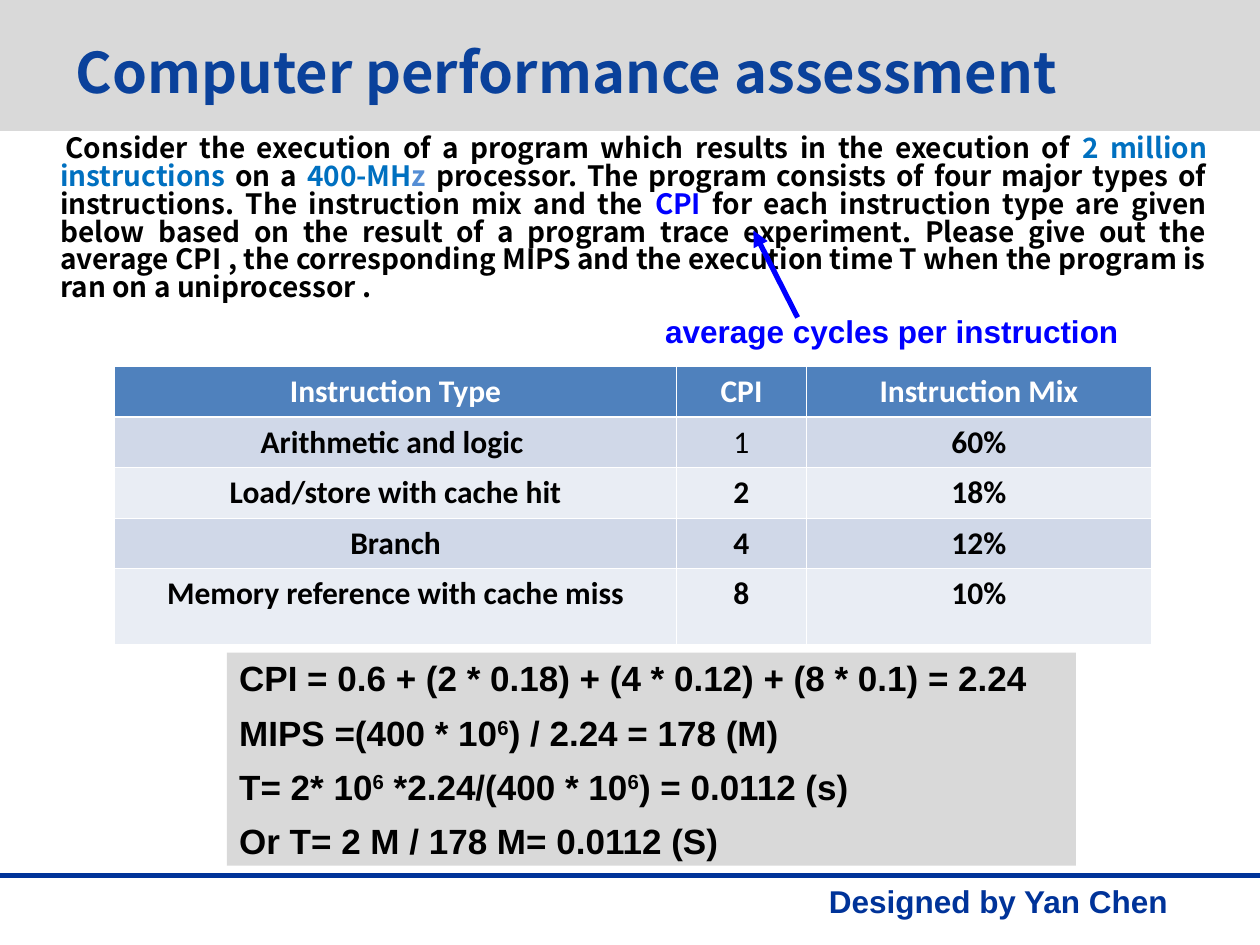
from lxml import etree
from pptx import Presentation, util as u
from pptx.dml import color as dml
from pptx.enum import shapes, text
from pptx.oxml import ns

INK, NAVY, BLUE, SKY, GREY, WHITE = "000000", "003399", "0000FF", "0070C0", "D9D9D9", "FFFFFF"
NOTO = "Noto Sans CJK SC"
ALIGN = text.PP_ALIGN


def rgb(code):
    return dml.RGBColor.from_string(code)


def place(item, box):
    item.left, item.top, item.width, item.height = [u.Inches(n) for n in box]


def style(run, size, face, tint, bold=True):
    font = run.font
    font.size, font.name, font.bold = u.Pt(size), face, bold
    font.color.rgb = rgb(tint)
    east = etree.SubElement(run._r.get_or_add_rPr(), ns.qn("a:ea"))
    east.set("typeface", face)


def write(par, words, size, face, tint, bold=True):
    run = par.add_run()
    run.text = words
    style(run, size, face, tint, bold)
    return run


def panel(slide, box):
    rect = slide.shapes.add_shape(shapes.MSO_SHAPE.RECTANGLE, *[u.Inches(n) for n in box])
    rect.shadow.inherit = False
    rect.fill.solid()
    rect.fill.fore_color.rgb = rgb(GREY)
    rect.line.fill.background()
    return rect


def label(owner, box, words, tint, wrap):
    note = owner.shapes.add_textbox(*[u.Inches(n) for n in box])
    note.text_frame.word_wrap = wrap
    write(note.text_frame.paragraphs[0], words, 18, "Arial", tint)


def rule(owner, ends, tint):
    line = owner.shapes.add_connector(
        shapes.MSO_CONNECTOR.STRAIGHT, *[u.Inches(n) for n in ends])
    line.line.color.rgb = rgb(tint)
    line.line.width = u.Pt(3)
    etree.SubElement(line._element.spPr, ns.qn("a:effectLst"))
    return line


def header(slide, box):
    title = slide.shapes.title
    title.element.addprevious(panel(slide, (0, 0, 10, 1.04)).element)
    place(title, box)
    frame = title.text_frame
    frame.auto_size = text.MSO_AUTO_SIZE.NONE
    frame.vertical_anchor = text.MSO_ANCHOR.MIDDLE
    par = frame.paragraphs[0]
    par.alignment = ALIGN.LEFT
    write(par, "Computer performance assessment", 32, NOTO, "0A419B")


def problem(slide, box):
    body = slide.placeholders[1]
    place(body, box)
    frame = body.text_frame
    frame.auto_size = text.MSO_AUTO_SIZE.NONE
    par = frame.paragraphs[0]
    props = par._p.get_or_add_pPr()
    props.set("marL", str(u.Inches(0.38)))
    props.set("indent", str(-u.Inches(0.38)))
    etree.SubElement(props, ns.qn("a:buNone"))
    par.alignment = ALIGN.JUSTIFY
    par.line_spacing = 0.83
    par.space_before = u.Pt(0)
    parts = [
        (" \tConsider the execution of a program which results in the execution of ", INK),
        ("2 million instructions ", SKY),
        ("on a ", INK),
        ("400-MH", SKY),
        ("z ", "558ED5"),
        ("processor. The program consists of four major types of instructions. "
         "The instruction mix and the ", INK),
        ("CPI", BLUE),
        (" for each instruction type are given below based on the result of a program "
         "trace experiment. Please give out the average CPI , the corresponding MIPS and "
         "the execution time T when the program is ran on a uniprocessor .", INK),
    ]
    for words, tint in parts:
        write(par, words, 16, NOTO, tint)


def answer(slide, box):
    frame = panel(slide, box).text_frame
    frame.word_wrap = True
    frame.vertical_anchor = text.MSO_ANCHOR.MIDDLE
    lines = [
        "CPI = 0.6 + (2 * 0.18) + (4 * 0.12) + (8 * 0.1) = 2.24",
        "MIPS =(400 * 10^6^) / 2.24 = 178 (M)",
        "T= 2* 10^6^ *2.24/(400 * 10^6^) = 0.0112 (s)",
        "Or T= 2 M / 178 M= 0.0112 (S)",
    ]
    for row, line in enumerate(lines):
        par = frame.add_paragraph() if row else frame.paragraphs[0]
        par.alignment = ALIGN.LEFT
        par.space_before = u.Pt(7 if row else 0)
        for spot, words in enumerate(line.split("^")):
            run = write(par, words, 20, "Arial", INK)
            if spot % 2:
                run._r.rPr.set("baseline", "30000")


def edge(cell, side, width):
    props = cell._tc.get_or_add_tcPr()
    line = etree.SubElement(props, ns.qn("a:" + side), w=str(u.Pt(width)))
    fill = etree.SubElement(line, ns.qn("a:solidFill"))
    etree.SubElement(fill, ns.qn("a:srgbClr"), val=WHITE)


def mix(slide, box):
    data = [
        ("Instruction Type", "CPI", "Instruction Mix"),
        ("Arithmetic and logic ", "1", "60%"),
        ("Load/store with cache hit", "2", "18%"),
        ("Branch", "4", "12%"),
        ("Memory reference with cache miss", "8", "10%"),
    ]
    grid = slide.shapes.add_table(5, 3, *[u.Inches(n) for n in box]).table
    for col, width in zip(grid.columns, (4.46, 1.03, 2.74)):
        col.width = u.Inches(width)
    for r, line in enumerate(data):
        grid.rows[r].height = u.Inches(0.6 if r == 4 else 0.4)
        for c, words in enumerate(line):
            cell = grid.cell(r, c)
            for side in ("lnL", "lnR", "lnT", "lnB"):
                thick = (r, side) in ((0, "lnB"), (1, "lnT"))
                edge(cell, side, 1.5 if thick else 0.45)
            cell.fill.solid()
            band = "D0D8E8" if r % 2 else "E9EDF4"
            cell.fill.fore_color.rgb = rgb(band if r else "4F81BD")
            par = cell.text_frame.paragraphs[0]
            par.alignment = ALIGN.CENTER
            write(par, words, 18, "Calibri", INK if r else WHITE, (r, c) != (1, 1))


def hint(slide, box):
    left, top = box[:2]
    group = slide.shapes.add_group_shape()
    label(group, box, "average cycles per instruction", BLUE, False)
    ends = (left + 1.15, top + 0.09, left + 0.8, top - 0.6)
    line = rule(group, ends, BLUE).line._get_or_add_ln()
    etree.SubElement(line, ns.qn("a:tailEnd"), type="triangle")


def footer(slide, box):
    label(slide, box, "Designed by Yan Chen", NAVY, True)
    rule(slide, (0, box[1], 10, box[1]), NAVY)


def main():
    deck = Presentation()
    deck.slide_width, deck.slide_height = u.Inches(10), u.Inches(7.5)
    slide = deck.slides.add_slide(deck.slide_layouts[1])
    header(slide, (0.5, 0.19, 9, 0.75))
    problem(slide, (0, 1.03, 9.68, 2.38))
    footer(slide, (6.48, 6.95, 3.02, 0.4))
    answer(slide, (1.8, 5.18, 6.74, 1.69))
    mix(slide, (0.91, 2.91, 8.23, 2.2))
    hint(slide, (5.18, 2.43, 3.8, 0.4))
    deck.save("out.pptx")


if __name__ == "__main__":
    main()
